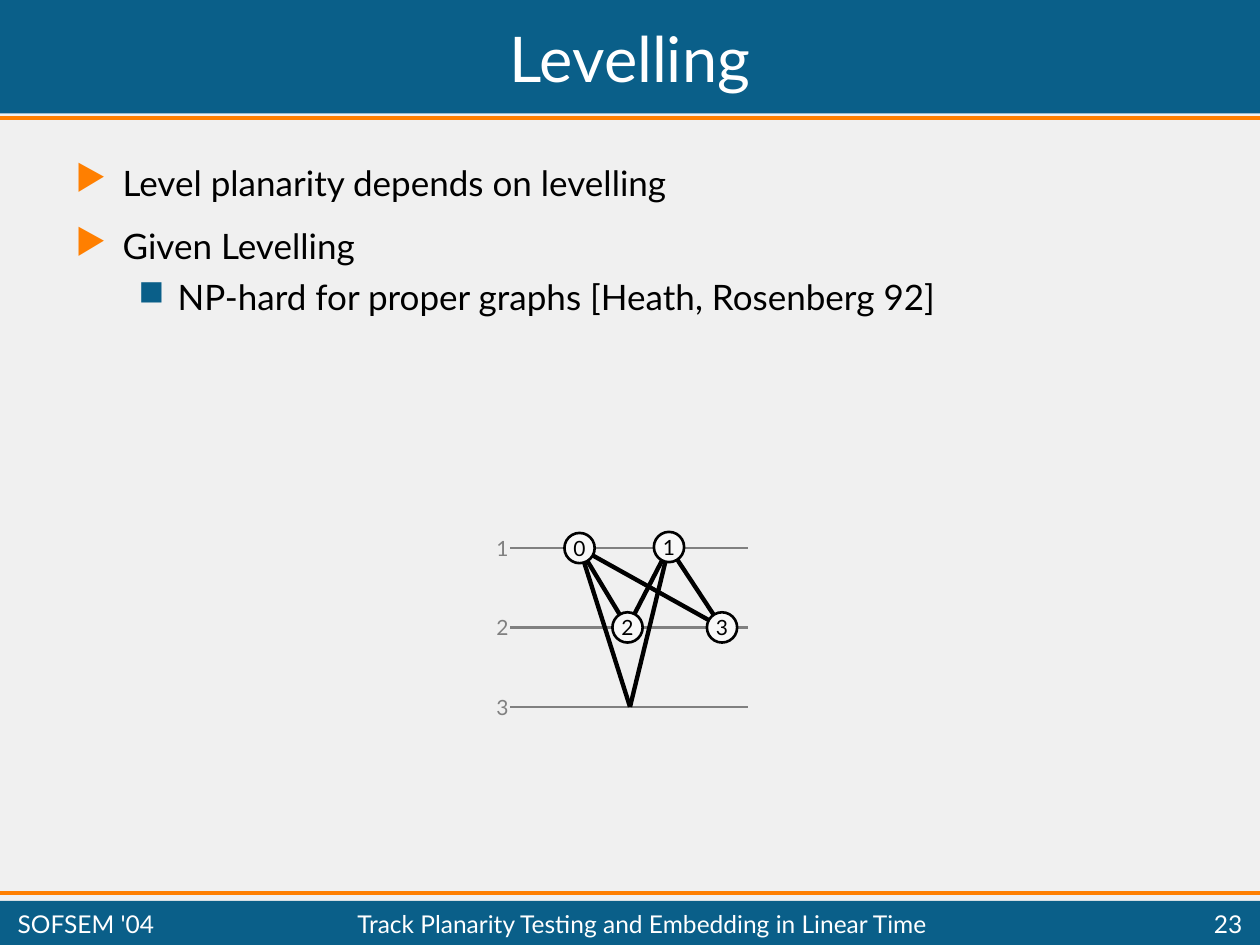
from lxml import etree
from pptx import Presentation
from pptx.dml.color import RGBColor
from pptx.enum import shapes, text
from pptx.oxml import ns
from pptx.util import Pt

COLOURS = {"background": "F0F0F0", "blue": "0A5F89", "orange": "FF7F00",
           "grey": "808080", "black": "000000", "white": "FFFFFF", "node": "F8F8F8"}
FONT = "Lato"
WIDTH, HEIGHT = 720, 540

LEVEL_LEFT, LEVEL_RIGHT = 291.6, 427.7
LEVEL_Y = [313.2 + 45.36 * level for level in range(3)]
NODE_SIZE = 17.28
NODES = {"0": (331.2, LEVEL_Y[0]), "1": (382.3, LEVEL_Y[0] - 0.6),
         "2": (358.6, LEVEL_Y[1]), "3": (412.6, LEVEL_Y[1])}
BOTTOM = (360, LEVEL_Y[2])
EDGES = [("0", "2"), ("0", "3"), ("1", "2"), ("1", "3")]

# text, left indent, hanging indent, space before, bullet, bullet colour
BULLETS = [
    ("Level planarity depends on levelling", 27, 27, 0, "▶", "orange"),
    ("Given Levelling", 27, 27, 12.5, "▶", "orange"),
    ("NP-hard for proper graphs [Heath, Rosenberg 92]", 58.5, 22.5, 5, "■", "blue"),
]


def colour(name):
    return RGBColor.from_string(COLOURS[name])


def format_paragraph(paragraph, size, colour_name, alignment=text.PP_ALIGN.LEFT):
    paragraph.alignment = alignment
    paragraph.font.size = Pt(size)
    paragraph.font.name = FONT
    paragraph.font.color.rgb = colour(colour_name)


def add_line(slide, start, end, colour_name, width):
    line = slide.shapes.add_connector(shapes.MSO_CONNECTOR.STRAIGHT,
                                      *(Pt(value) for value in (*start, *end)))
    line.line.color.rgb = colour(colour_name)
    line.line.width = Pt(width)
    etree.SubElement(line._element.spPr, ns.qn("a:effectLst"))


def add_bar(slide, top, height, rule_y):
    """Add a full-width blue bar with its orange rule."""
    bar = slide.shapes.add_shape(shapes.MSO_SHAPE.RECTANGLE, 0, Pt(top), Pt(WIDTH), Pt(height))
    bar.shadow.inherit = False
    bar.fill.solid()
    bar.fill.fore_color.rgb = colour("blue")
    bar.line.fill.background()
    add_line(slide, (0, rule_y), (WIDTH, rule_y), "orange", 2.25)


def add_label(slide, box, words, size, colour_name, alignment=text.PP_ALIGN.LEFT, wrap=True):
    label = slide.shapes.add_textbox(*(Pt(value) for value in box))
    frame = label.text_frame
    frame.word_wrap = wrap
    frame.vertical_anchor = text.MSO_ANCHOR.MIDDLE
    frame.text = words
    format_paragraph(frame.paragraphs[0], size, colour_name, alignment)


def set_title(slide, words):
    title = slide.shapes.title
    title.left, title.top, title.width, title.height = Pt(3), Pt(3), Pt(714), Pt(60)
    title.text_frame.text = words
    title.text_frame.vertical_anchor = text.MSO_ANCHOR.MIDDLE
    format_paragraph(title.text_frame.paragraphs[0], 36, "white", text.PP_ALIGN.CENTER)
    # Bring the title in front of the blue bar
    slide.shapes._spTree.append(title._element)


def add_bullets(slide):
    body = slide.shapes.add_textbox(Pt(36), Pt(88.5), Pt(648), Pt(121))
    frame = body.text_frame
    frame.word_wrap = True
    for index, (words, indent, hanging, before, bullet, bullet_colour) in enumerate(BULLETS):
        paragraph = frame.paragraphs[0] if index == 0 else frame.add_paragraph()
        paragraph.text = words
        paragraph.space_before = Pt(before)
        properties = paragraph._p.get_or_add_pPr()
        properties.set("marL", str(Pt(indent)))
        properties.set("indent", str(-Pt(hanging)))
        bullet_fill = etree.SubElement(properties, ns.qn("a:buClr"))
        etree.SubElement(bullet_fill, ns.qn("a:srgbClr"), val=COLOURS[bullet_colour])
        etree.SubElement(properties, ns.qn("a:buChar"), char=bullet)
        format_paragraph(paragraph, 20, "black")


def add_node(slide, name, centre):
    left, top = (Pt(value - NODE_SIZE / 2) for value in centre)
    node = slide.shapes.add_shape(shapes.MSO_SHAPE.OVAL, left, top, Pt(NODE_SIZE), Pt(NODE_SIZE))
    node.shadow.inherit = False
    node.fill.solid()
    node.fill.fore_color.rgb = colour("node")
    node.line.color.rgb = colour("black")
    node.line.width = Pt(1.5)
    frame = node.text_frame
    frame.word_wrap = False
    frame.vertical_anchor = text.MSO_ANCHOR.MIDDLE
    frame.text = name
    format_paragraph(frame.paragraphs[0], 12, "black", text.PP_ALIGN.CENTER)


def add_graph(slide):
    for number, y in enumerate(LEVEL_Y, start=1):
        add_line(slide, (LEVEL_LEFT, y), (LEVEL_RIGHT, y), "grey", 1.5)
        add_label(slide, (276.5, y - 10.8, 21, 21.6), str(number), 12, "grey", wrap=False)
    for start, end in EDGES:
        add_line(slide, NODES[start], NODES[end], "black", 2.5)
    for start in ("0", "1"):
        add_line(slide, NODES[start], BOTTOM, "black", 2.5)
    for name, centre in NODES.items():
        add_node(slide, name, centre)


def add_footer(slide):
    top, height = 517.7, 20
    add_label(slide, (3, top, 104, height), "SOFSEM '04", 14, "white")
    add_label(slide, (108, top, 518, height),
              "Track Planarity Testing and Embedding in Linear Time",
              14, "white", text.PP_ALIGN.CENTER)
    add_label(slide, (632, top, 85, height), "23", 14, "white", text.PP_ALIGN.RIGHT)


def main():
    presentation = Presentation()
    presentation.slide_width, presentation.slide_height = Pt(WIDTH), Pt(HEIGHT)
    slide = presentation.slides.add_slide(presentation.slide_layouts[5])
    slide.background.fill.solid()
    slide.background.fill.fore_color.rgb = colour("background")
    add_bar(slide, 0, 64.8, 67.7)
    add_bar(slide, 514.8, 25.2, 510.5)
    set_title(slide, "Levelling")
    add_bullets(slide)
    add_graph(slide)
    add_footer(slide)
    presentation.save("out.pptx")


if __name__ == "__main__":
    main()
